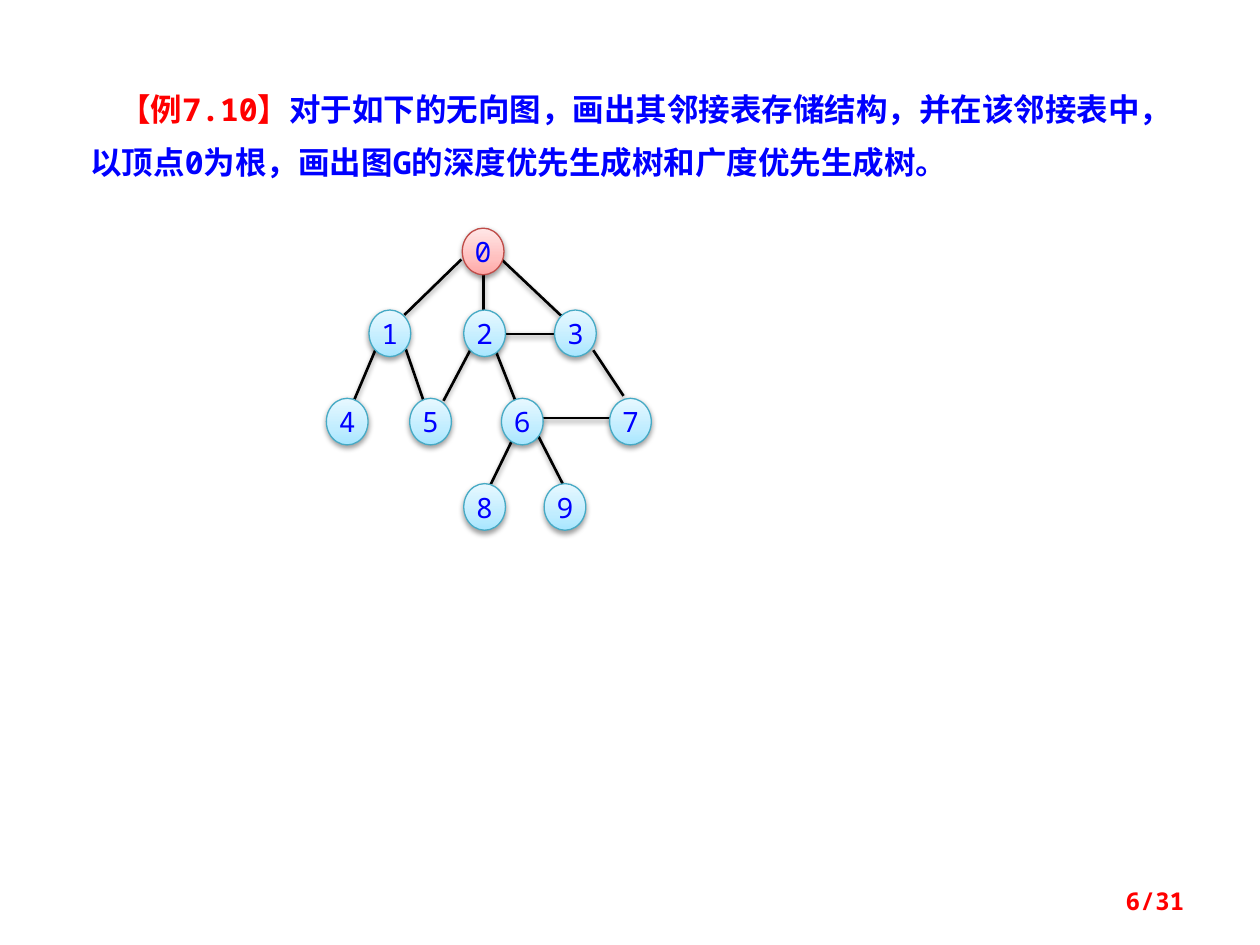
import pptx
import pptx.util
import pptx.dml.color
import pptx.enum.shapes
import pptx.enum.text
import pptx.oxml.ns
from lxml import etree

Cm, Pt = pptx.util.Cm, pptx.util.Pt
Align, Anchor = pptx.enum.text.PP_ALIGN, pptx.enum.text.MSO_ANCHOR
qn = pptx.oxml.ns.qn

# Content
FONT, BLUE, RED = "Noto Sans Mono", "0000FF", "FF0000"
TASK = [
    ("【例7.10】", RED),
    ("对于如下的无向图，画出其邻接表存储结构，并在该邻接表中，"
     "以顶点0为根，画出图G的深度优先生成树和广度优先生成树。", BLUE),
]
PAGE = "6/31"

# Graph rows: top, then label and left of each node (cm)
ROWS = [
    (4.6, [("0", 9.32)]),
    (6.25, [("1", 7.44), ("2", 9.35), ("3", 11.18)]),
    (8.03, [("4", 6.58), ("5", 8.26), ("6", 10.11), ("7", 12.29)]),
    (9.75, [("8", 9.35), ("9", 10.97)]),
]
WIDE, HIGH = 0.84, 0.94
# Edges: x and y of both ends (cm)
EDGES = [
    (9.75, 5.44, 9.75, 6.35),     # 0-2
    (10.11, 5.23, 11.35, 6.4),    # 0-3
    (10.16, 6.73, 11.23, 6.73),   # 2-3
    (7.62, 6.93, 7.09, 8.18),     # 1-4
    (10.39, 8.74, 9.86, 9.83),    # 6-8
    (10.8, 8.69, 11.46, 9.98),    # 6-9
    (11.96, 7.06, 12.57, 7.98),   # 3-7
    (10.95, 8.43, 12.55, 8.43),   # 6-7
    (9.6, 6.83, 8.94, 8.08),      # 2-5
    (9.96, 6.99, 10.41, 8.13),    # 2-6
    (8.18, 7.04, 8.59, 8.23),     # 1-5
    (9.3, 5.23, 8.15, 6.35),      # 0-1
]
# Node looks: gradient from bottom to top, then outline
ROOT = (["FFA6A5", "FFC0BF", "FFE7E7"], "BF4C48")
NODE = (["A7E6FF", "C1EDFF", "E7F8FF"], "46AAC5")
STOPS = [0, 35, 100]


def color(text):
    return pptx.dml.color.RGBColor.from_string(text)


def add(parent, tag, **attrs):
    return etree.SubElement(parent, qn(tag), {k: str(v) for k, v in attrs.items()})


def write(par, text, size, tone, bold=False):
    run = par.add_run()
    run.text = text
    run.font.size, run.font.bold = Pt(size), bold
    run.font.name = FONT
    run.font.color.rgb = color(tone)
    add(run.font._element, "a:ea", typeface=FONT)


def shade(shape):
    """Soft shadow straight below; call after the line is set."""
    glow = add(add(shape._element.spPr, "a:effectLst"), "a:outerShdw",
               blurRad=Pt(3.1), dist=Pt(1.6), dir=5400000, rotWithShape=0)
    add(add(glow, "a:srgbClr", val="000000"), "a:alpha", val=38000)


def blend(shape, tones):
    shape.fill.gradient()
    shape.fill.gradient_angle = 90
    stops = shape._element.spPr.find(qn("a:gradFill")).find(qn("a:gsLst"))
    for old in list(stops):
        stops.remove(old)
    for pos, tone in zip(STOPS, tones):
        add(add(stops, "a:gs", pos=pos * 1000), "a:srgbClr", val=tone)


def add_edge(shapes, ends):
    line = shapes.add_connector(pptx.enum.shapes.MSO_CONNECTOR.STRAIGHT,
                                *map(Cm, ends))
    line.line.color.rgb = color("000000")
    line.line.width = Pt(1.5)
    shade(line)


def add_node(shapes, label, left, top):
    tones, rim = ROOT if label == "0" else NODE
    node = shapes.add_shape(pptx.enum.shapes.MSO_SHAPE.OVAL,
                            Cm(left), Cm(top), Cm(WIDE), Cm(HIGH))
    blend(node, tones)
    node.line.color.rgb = color(rim)
    node.line.width = Pt(0.75)
    shade(node)
    frame = node.text_frame
    frame.margin_left = frame.margin_right = 0
    frame.margin_top = frame.margin_bottom = 0
    frame.vertical_anchor = Anchor.MIDDLE
    frame.paragraphs[0].alignment = Align.CENTER
    write(frame.paragraphs[0], label, 16, BLUE)


def main():
    deck = pptx.Presentation()
    deck.slide_width, deck.slide_height = Cm(25.4), Cm(19.05)
    slide = deck.slides.add_slide(deck.slide_layouts[5])

    # Task text
    title = slide.shapes.title
    title.left, title.top = Cm(1.57), Cm(1.4)
    title.width, title.height = Cm(21.82), Cm(2.39)
    frame = title.text_frame
    frame.word_wrap = True
    frame.auto_size = pptx.enum.text.MSO_AUTO_SIZE.NONE
    frame.vertical_anchor = Anchor.TOP
    par = frame.paragraphs[0]
    par.alignment = Align.LEFT
    par.line_spacing = Pt(30)
    par._p.get_or_add_pPr().set("indent", str(Cm(0.58)))
    for text, tone in TASK:
        write(par, text, 18, tone, True)

    # Graph
    graph = slide.shapes.add_group_shape().shapes
    for ends in EDGES:
        add_edge(graph, ends)
    for top, row in ROWS:
        for label, left in row:
            add_node(graph, label, left, top)

    # Page number
    box = slide.shapes.add_textbox(Cm(18.21), Cm(17.65), Cm(5.92), Cm(1.02))
    box.text_frame.word_wrap = True
    box.text_frame.vertical_anchor = Anchor.MIDDLE
    par = box.text_frame.paragraphs[0]
    par.alignment = Align.RIGHT
    write(par, PAGE, 14, RED, True)

    deck.save("out.pptx")


if __name__ == "__main__":
    main()
